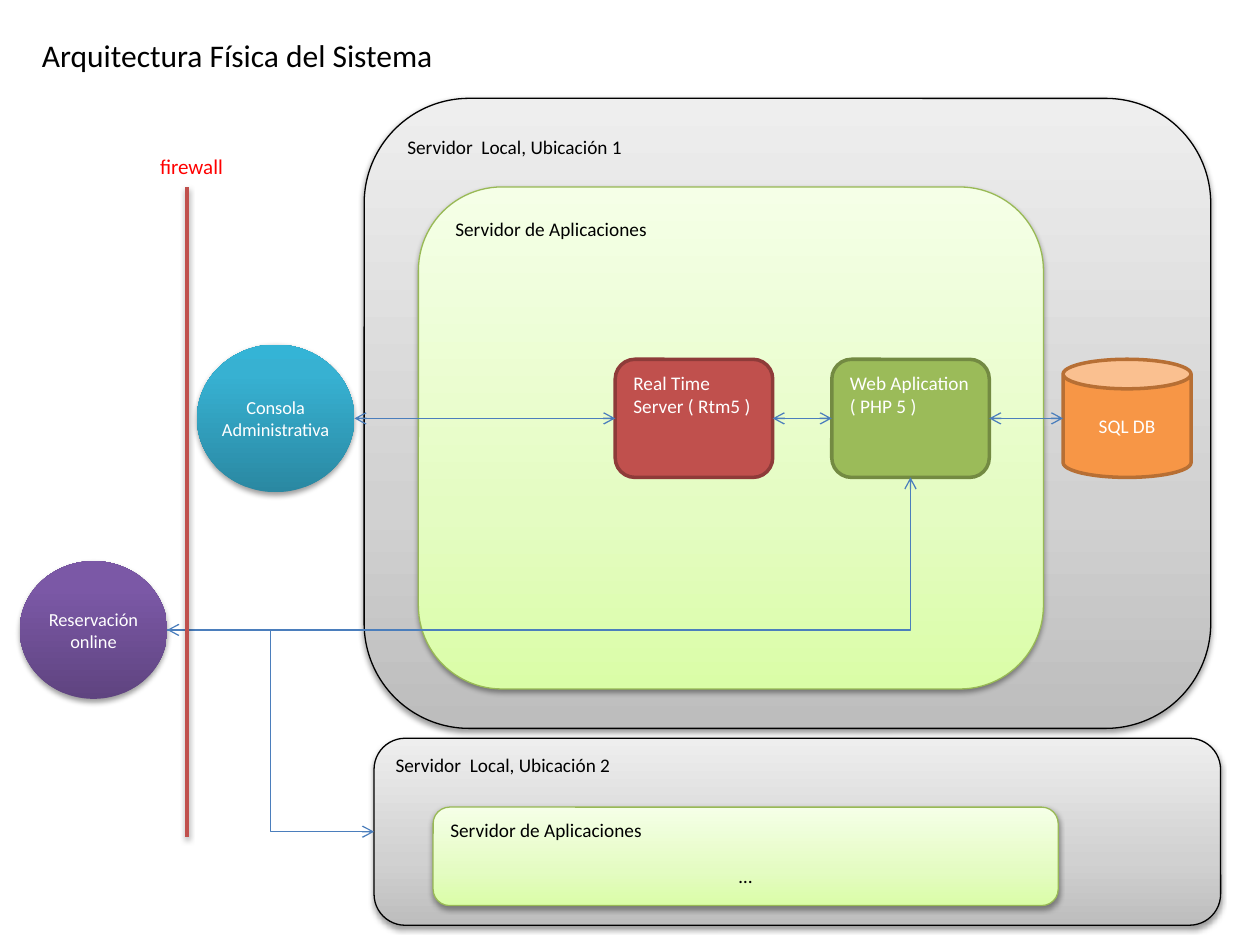
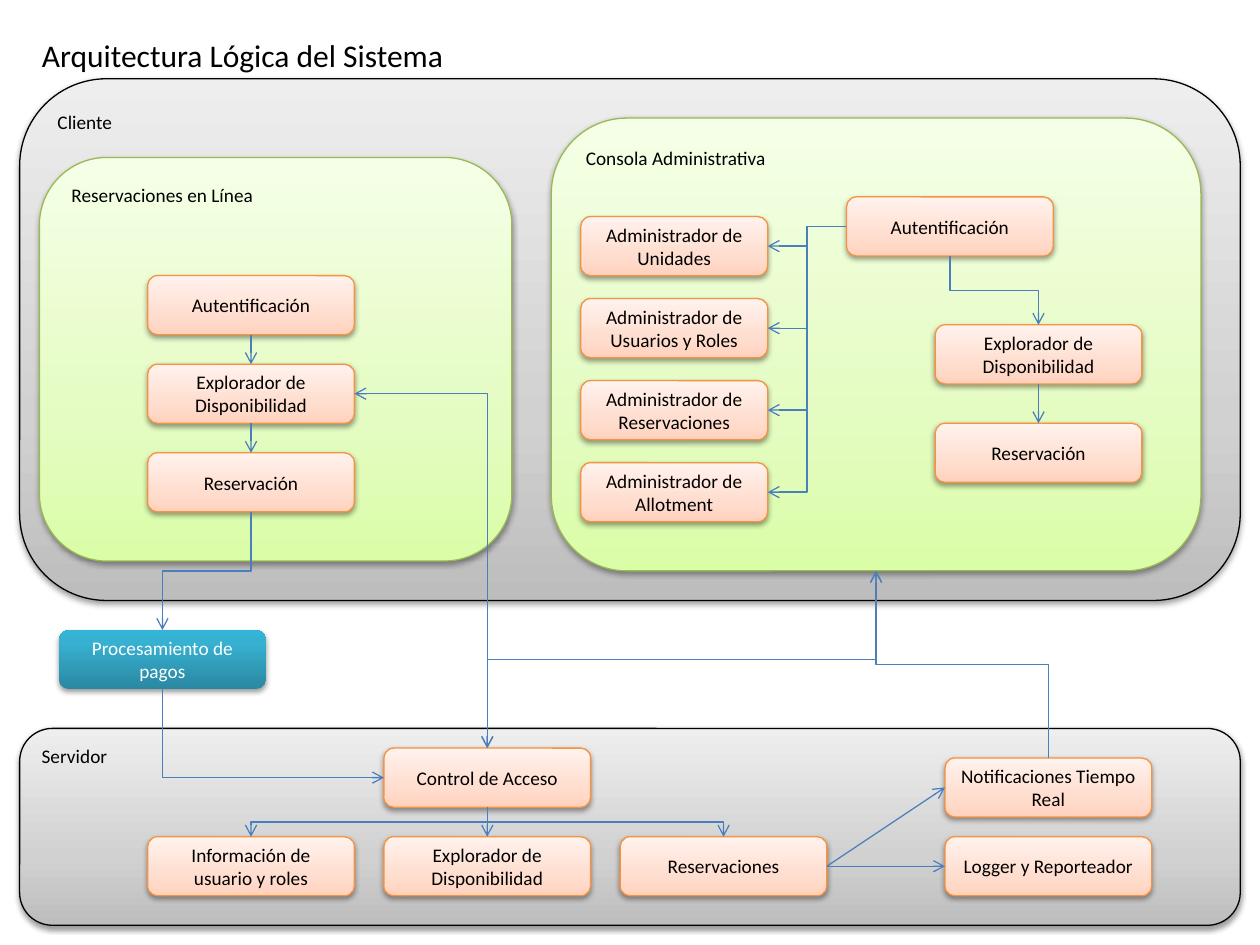
from lxml.etree import SubElement
from pptx import Presentation
from pptx.dml.color import RGBColor
from pptx.enum.dml import MSO_FILL
from pptx.enum.shapes import MSO_CONNECTOR, MSO_SHAPE
from pptx.enum.text import MSO_ANCHOR, MSO_AUTO_SIZE, PP_ALIGN
from pptx.oxml.ns import qn
from pptx.util import Inches, Pt

UNIT = 10 / 64  # the slide is a grid of 64 columns by 48 rows
FONT = "Calibri"
COLORS = {
    "black": "000000", "white": "FFFFFF", "connector": "4B7EBC",
    "firewall": "C0504D", "warning": "FF0000",
}
# fill is one colour or a list of (percent, colour), bottom to top
STYLES = {
    "server": {"fill": [(0, "BDBDBD"), (35, "D1D1D1"), (100, "EEEEEE")], "line": "000000"},
    "application": {"fill": [(0, "DAFDA7"), (35, "E4FCC2"), (100, "F5FFE7")], "line": "98B955"},
    "module": {"fill": [(0, "FFD2BD"), (35, "FFDED0"), (100, "FFF2ED")], "line": "F69240"},
    "console": {"fill": [(0, "2A88A2"), (80, "37B1D2"), (100, "34B4D6")]},
    "booking": {"fill": [(0, "5F4480"), (80, "7B58A6"), (100, "7C57A8")]},
    "realtime": {"fill": "C0504D", "line": "8E3B39", "width": 2},
    "web": {"fill": "9BBB59", "line": "738A42", "width": 2},
    "database": {"fill": "F79646", "line": "B76F34", "width": 2},
}
SIDES = {"top": 0, "left": 1, "bottom": 2, "right": 3}
SITES = {
    MSO_SHAPE.OVAL: {"top": 0, "left": 2, "bottom": 4, "right": 6},
    MSO_SHAPE.CAN: {"top": 1, "left": 2, "bottom": 3, "right": 4},
}


def grid(*values):
    """Turn grid columns or rows into lengths."""
    return [Inches(value * UNIT) for value in values]


def rgb(name):
    """Return the colour for a palette name or a hex string."""
    return RGBColor.from_string(COLORS.get(name, name))


def write_text(frame, text, size=11, color="black", align=PP_ALIGN.LEFT,
               anchor=MSO_ANCHOR.TOP, wrap=True):
    """Fill a text frame, one paragraph per line of text."""
    frame.word_wrap = wrap
    frame.vertical_anchor = anchor
    for index, line in enumerate(text.split("\n")):
        paragraph = frame.add_paragraph() if index else frame.paragraphs[0]
        paragraph.alignment = align
        run = paragraph.add_run()
        run.text = line
        run.font.name, run.font.size = FONT, Pt(size)
        run.font.color.rgb = rgb(color)


def add_label(slide, box, text, **text_format):
    """Add a text box that grows with its text."""
    label = slide.shapes.add_textbox(*grid(*box))
    write_text(label.text_frame, text, wrap=False, **text_format)
    label.text_frame.auto_size = MSO_AUTO_SIZE.SHAPE_TO_FIT_TEXT


def add_shadow(properties):
    """Put a soft shadow below a shape whose effect list is empty."""
    shadow = SubElement(properties.find(qn("a:effectLst")), qn("a:outerShdw"), blurRad="40000",
                        dist="20000", dir="5400000", rotWithShape="0")
    color = SubElement(shadow, qn("a:srgbClr"), val=COLORS["black"])
    SubElement(color, qn("a:alpha"), val="38000")


def paint(shape, fill, line=None, width=0.75):
    """Give a shape its fill and outline; gradients also get a shadow."""
    shape.shadow.inherit = False
    if line:
        shape.line.color.rgb, shape.line.width = rgb(line), Pt(width)
    else:
        shape.line.fill.background()
    if isinstance(fill, str):
        shape.fill.solid()
        shape.fill.fore_color.rgb = rgb(fill)
        return
    shape.fill.gradient()
    shape.fill.gradient_angle = 90
    properties = shape.element.spPr
    stops = next(properties.iter(qn("a:gsLst")))
    for stop in list(stops):
        stops.remove(stop)
    for percent, color in fill:
        stop = SubElement(stops, qn("a:gs"), pos=str(percent * 1000))
        SubElement(stop, qn("a:srgbClr"), val=color)
    add_shadow(properties)


def add_block(slide, box, text, style, kind=MSO_SHAPE.ROUNDED_RECTANGLE, **text_format):
    """Add a painted shape with text."""
    block = slide.shapes.add_shape(kind, *grid(*box))
    paint(block, **STYLES[style])
    write_text(block.text_frame, text, **text_format)
    return block


def add_centered(slide, box, text, style="module", **options):
    """Add a block whose text sits in its middle."""
    return add_block(slide, box, text, style, align=PP_ALIGN.CENTER,
                     anchor=MSO_ANCHOR.MIDDLE, **options)


def add_circle(slide, box, text, style):
    """Add a user-facing component as an ellipse."""
    circle = add_centered(slide, box, text, style, kind=MSO_SHAPE.OVAL, size=10.5, color="white")
    circle.text_frame.margin_left = circle.text_frame.margin_right = 0


def style_line(connector, color, width):
    """Set the colour and width of a connector and drop its shadow."""
    connector.line.color.rgb, connector.line.width = rgb(color), Pt(width)
    SubElement(connector.element.spPr, qn("a:effectLst"))


def turn_upright(connector):
    """Rotate a bent connector so that it leaves its start vertically."""
    across = connector.end_x - connector.begin_x
    down = connector.end_y - connector.begin_y
    middle_x = (connector.begin_x + connector.end_x) // 2
    middle_y = (connector.begin_y + connector.end_y) // 2
    connector.width, connector.height = abs(down), abs(across)
    connector.left = middle_x - abs(down) // 2
    connector.top = middle_y - abs(across) // 2
    frame = connector.element.spPr.find(qn("a:xfrm"))
    down_left = down > 0 and across <= 0
    frame.set("rot", str((90 if down_left else 270) * 60000))
    frame.set("flipH", str(int(down > 0 and not down_left)))
    frame.set("flipV", str(int(across < 0 and not down_left)))


def link(slide, start, start_side, end, end_side, both=False, straight=False):
    """Join two shapes with an arrow glued to the given sides."""
    kind = MSO_CONNECTOR.STRAIGHT if straight else MSO_CONNECTOR.ELBOW
    connector = slide.shapes.add_connector(kind, 0, 0, 0, 0)
    connector.begin_connect(start, SIDES[start_side])
    connector.end_connect(end, SIDES[end_side])
    for tag, shape, side in (("a:stCxn", start, start_side), ("a:endCxn", end, end_side)):
        site = SITES.get(shape.auto_shape_type, SIDES)[side]
        next(connector.element.iter(qn(tag))).set("idx", str(site))
    style_line(connector, "connector", 0.75)
    properties = connector.element.spPr
    outline = properties.find(qn("a:ln"))
    if both:
        SubElement(outline, qn("a:headEnd"), type="arrow")
    SubElement(outline, qn("a:tailEnd"), type="arrow")
    if straight:
        return
    upright = start_side in ("top", "bottom")
    if upright != (end_side in ("top", "bottom")):
        properties.find(qn("a:prstGeom")).set("prst", "bentConnector2")
    if upright:
        turn_upright(connector)


def add_titled_slide(presentation, title, width):
    """Add a blank slide with its title."""
    slide = presentation.slides.add_slide(presentation.slide_layouts[6])
    add_label(slide, (1.5, 1.5, width, 2.56), title, size=18)
    return slide


def build_physical(presentation):
    """Build the physical architecture slide."""
    slide = add_titled_slide(presentation, "Arquitectura Física del Sistema", 21.4)
    add_block(slide, (18.5, 5, 43, 32), "Servidor  Local, Ubicación 1", "server")
    add_block(slide, (21.25, 9.5, 31.75, 25.5), "Servidor de Aplicaciones", "application")
    second_server = add_block(slide, (19, 37.5, 43, 9.5), "Servidor  Local, Ubicación 2", "server")
    second_application = add_block(slide, (22, 41, 31.75, 5), "Servidor de Aplicaciones\n…",
                                   "application")
    ellipsis = second_application.text_frame.paragraphs[1]
    ellipsis.alignment, ellipsis.space_before = PP_ALIGN.CENTER, Pt(13)

    realtime = add_block(slide, (31.25, 18.25, 8, 6), "Real Time\nServer ( Rtm5 )", "realtime",
                         color="white")
    web = add_block(slide, (42.25, 18.25, 8, 6), "Web Aplication\n( PHP 5 )", "web", color="white")
    database = add_centered(slide, (54, 18.25, 6.5, 6), "SQL DB", "database",
                            kind=MSO_SHAPE.CAN, color="white")
    add_circle(slide, (10, 17.5, 8, 7.5), "Consola\nAdministrativa", "console")
    console = slide.shapes[-1]
    add_circle(slide, (1, 28.5, 7.5, 7), "Reservación\nonline", "booking")
    booking = slide.shapes[-1]

    for start, end in ((console, realtime), (realtime, web), (web, database)):
        link(slide, start, "right", end, "left", both=True)
    link(slide, booking, "right", web, "bottom", both=True)
    link(slide, booking, "right", second_server, "left")

    firewall = slide.shapes.add_connector(MSO_CONNECTOR.STRAIGHT, *grid(9.5, 9.5, 9.5, 42.5))
    style_line(firewall, "firewall", 2)
    add_shadow(firewall.element.spPr)
    add_label(slide, (7.5, 7.5, 4.54, 1.92), "firewall", size=12, color="warning")


def build_logical(presentation):
    """Build the logical architecture slide."""
    slide = add_titled_slide(presentation, "Arquitectura Lógica del Sistema", 21.9)
    add_block(slide, (1, 4, 62, 26.5), "Cliente", "server")
    add_block(slide, (2, 8, 24, 20.5), "Reservaciones en Línea", "application")
    console = add_block(slide, (28, 6, 33, 23), "Consola Administrativa", "application")
    add_block(slide, (1, 37, 62, 10), "Servidor", "server")

    def module(column, row, text, width=10.5, **options):
        """Add a module three rows high."""
        return add_centered(slide, (column, row, width, 3), text, **options)

    login, explorer, booking = [
        module(7.5, 14 + 4.5 * index, text) for index, text in
        enumerate(("Autentificación", "Explorador de Disponibilidad", "Reservación"))]
    payment = module(3, 32, "Procesamiento de pagos", style="console", color="white")
    managers = [
        module(29.5, 11 + 12.5 / 3 * index, f"Administrador de {subject}", width=9.5)
        for index, subject in
        enumerate(("Unidades", "Usuarios y Roles", "Reservaciones", "Allotment"))]
    console_login = module(43, 10, "Autentificación")
    console_explorer = module(47.5, 16.5, "Explorador de Disponibilidad")
    console_booking = module(47.5, 21.5, "Reservación")
    access = module(19.5, 38, "Control de Acceso")
    services = [
        module(7.5 + 12 * index, 42.5, text) for index, text in
        enumerate(("Información de usuario y roles", "Explorador de Disponibilidad",
                   "Reservaciones"))]
    notifier = module(48, 38.5, "Notificaciones Tiempo Real")
    logger = module(48, 42.5, "Logger y Reporteador")

    for start, end in ((login, explorer), (explorer, booking)):
        link(slide, start, "bottom", end, "top", straight=True)
    link(slide, booking, "bottom", payment, "top")
    link(slide, payment, "bottom", access, "left")
    link(slide, explorer, "right", access, "top", both=True)
    link(slide, console, "bottom", access, "top", both=True)
    link(slide, notifier, "top", console, "bottom")
    for manager in managers:
        link(slide, console_login, "left", manager, "right")
    link(slide, console_login, "bottom", console_explorer, "top")
    link(slide, console_explorer, "bottom", console_booking, "top")
    for service in services:
        link(slide, access, "bottom", service, "top")
    for target in (notifier, logger):
        link(slide, services[-1], "right", target, "left", straight=True)


def main():
    """Build the presentation and save it."""
    presentation = Presentation()
    presentation.slide_width, presentation.slide_height = grid(64, 48)
    build_physical(presentation)
    build_logical(presentation)
    presentation.save("out.pptx")


if __name__ == "__main__":
    main()
